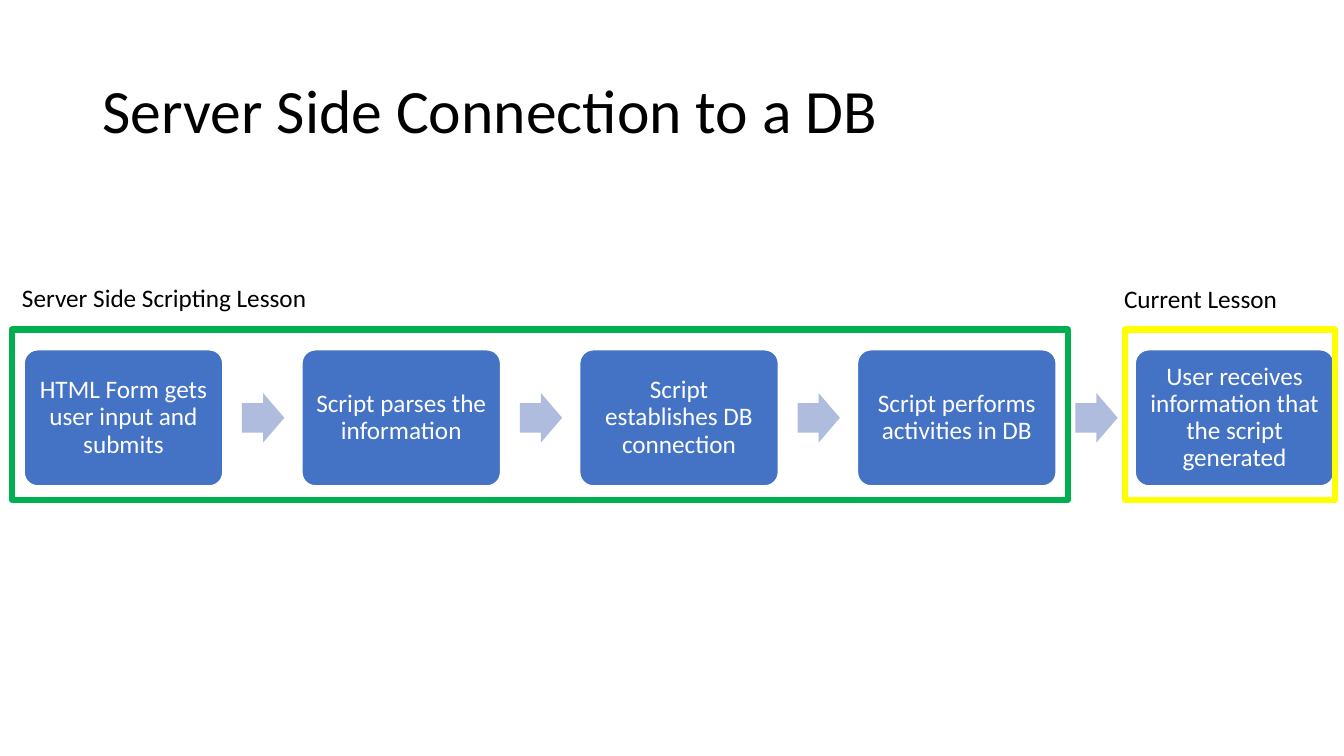
from dataclasses import dataclass

from pptx import Presentation
from pptx.dml.color import RGBColor
from pptx.enum.shapes import MSO_SHAPE
from pptx.enum.text import MSO_ANCHOR, PP_ALIGN
from pptx.shapes.autoshape import Shape
from pptx.slide import Slide
from pptx.util import Inches, Pt

COLORS = {
    "black": "000000",
    "white": "FFFFFF",
    "step": "4472C4",
    "arrow": "B0BCDE",
    "earlier": "00B050",
    "current": "FFFF00",
}
FONT = "Calibri"

STEPS = [
    "HTML Form gets user input and submits",
    "Script parses the information",
    "Script establishes DB connection",
    "Script performs activities in DB",
    "User receives information that the script generated",
]
FIRST_LEFT, LAST_LEFT = 0.24, 11.26
STEP_PITCH = (LAST_LEFT - FIRST_LEFT) / (len(STEPS) - 1)
ARROW_OFFSET = 2.16


@dataclass(frozen=True)
class Box:
    left: float
    top: float
    width: float
    height: float

    def lengths(self) -> list[int]:
        return [Inches(value) for value in (self.left, self.top, self.width, self.height)]


@dataclass(frozen=True)
class Lesson:
    label: str
    label_box: Box
    frame: Box
    color: str


LESSONS = [
    Lesson("Server Side Scripting Lesson", Box(0.12, 2.75, 3.06, 0.4),
           Box(0.12, 3.27, 10.47, 1.69), "earlier"),
    Lesson("Current Lesson", Box(11.05, 2.76, 1.74, 0.4),
           Box(11.16, 3.27, 2.08, 1.69), "current"),
]


def color(name: str) -> RGBColor:
    return RGBColor.from_string(COLORS[name])


def write_text(shape: Shape, text: str, *, size: float = 18, color_name: str = "black",
               align: PP_ALIGN = PP_ALIGN.LEFT, anchor: MSO_ANCHOR = MSO_ANCHOR.TOP,
               line_spacing: float = 1.0, wrap: bool = True) -> None:
    frame = shape.text_frame
    frame.word_wrap = wrap
    frame.vertical_anchor = anchor
    paragraph = frame.paragraphs[0]
    paragraph.alignment = align
    paragraph.line_spacing = line_spacing
    run = paragraph.add_run()
    run.text = text
    run.font.name = FONT
    run.font.size = Pt(size)
    run.font.color.rgb = color(color_name)


def add_block(slide: Slide, kind: MSO_SHAPE, box: Box, *, fill: str | None = None,
              line: str | None = None, line_width: float = 1,
              adjustments: tuple[float, ...] = ()) -> Shape:
    shape = slide.shapes.add_shape(kind, *box.lengths())
    shape.shadow.inherit = False
    for index, value in enumerate(adjustments):
        shape.adjustments[index] = value
    if fill:
        shape.fill.solid()
        shape.fill.fore_color.rgb = color(fill)
    else:
        shape.fill.background()
    if line:
        shape.line.color.rgb = color(line)
        shape.line.width = Pt(line_width)
    else:
        shape.line.fill.background()
    return shape


def add_step(slide: Slide, left: float, text: str) -> None:
    shape = add_block(slide, MSO_SHAPE.ROUNDED_RECTANGLE, Box(left, 3.47, 1.97, 1.35),
                      fill="step", line="white", adjustments=(0.1,))
    frame = shape.text_frame
    frame.margin_left = frame.margin_right = Inches(0.07)
    frame.margin_top = frame.margin_bottom = Inches(0.07)
    write_text(shape, text, color_name="white", align=PP_ALIGN.CENTER,
               anchor=MSO_ANCHOR.MIDDLE, line_spacing=0.9)


def main() -> None:
    presentation = Presentation()
    presentation.slide_width = Inches(13.33)
    presentation.slide_height = Inches(7.5)
    slide = presentation.slides.add_slide(presentation.slide_layouts[6])

    # Title
    title = slide.shapes.add_textbox(*Box(0.92, 0.4, 11.5, 1.45).lengths())
    write_text(title, "Server Side Connection to a DB", size=44,
               anchor=MSO_ANCHOR.MIDDLE, line_spacing=0.9)

    # Process steps with an arrow between neighbours
    for index, text in enumerate(STEPS):
        left = FIRST_LEFT + index * STEP_PITCH
        add_step(slide, left, text)
        if index < len(STEPS) - 1:
            add_block(slide, MSO_SHAPE.RIGHT_ARROW, Box(left + ARROW_OFFSET, 3.9, 0.42, 0.49),
                      fill="arrow", adjustments=(0.6, 0.5))

    # Lesson frames and labels
    for lesson in LESSONS:
        add_block(slide, MSO_SHAPE.RECTANGLE, lesson.frame, line=lesson.color, line_width=4.5)
        label = slide.shapes.add_textbox(*lesson.label_box.lengths())
        write_text(label, lesson.label, wrap=False)

    presentation.save("out.pptx")


if __name__ == "__main__":
    main()
